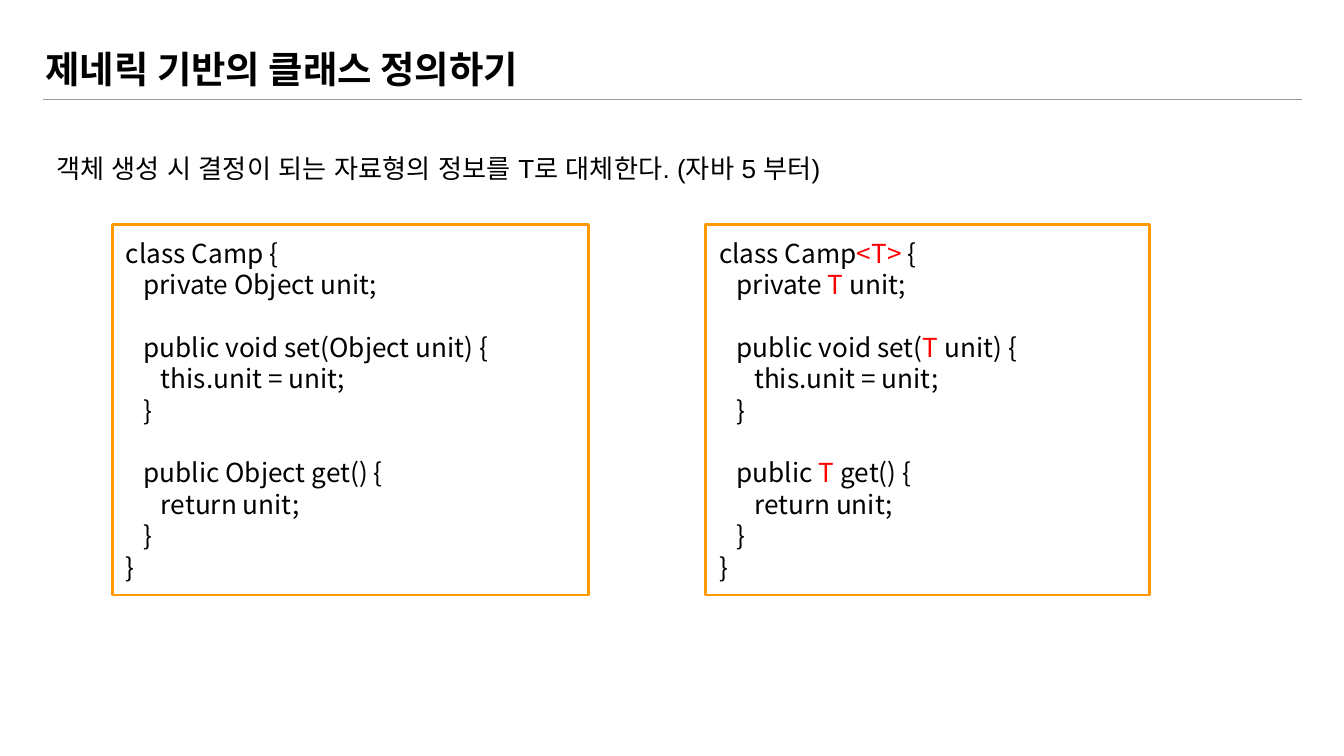
from lxml.etree import SubElement
from pptx import Presentation
from pptx.dml.color import RGBColor
from pptx.enum.shapes import MSO_CONNECTOR, MSO_SHAPE
from pptx.enum.text import MSO_ANCHOR, PP_ALIGN
from pptx.oxml.ns import qn
from pptx.util import Cm, Pt

KOREAN, LATIN = "Noto Sans CJK KR", "Arial"
BLACK, RED, ORANGE, GREY = "000000", "FF0000", "FF9900", "999999"

TITLE = "제네릭 기반의 클래스 정의하기"
LEAD = "객체 생성 시 결정이 되는 자료형의 정보를 T로 대체한다. (자바 5 부터)"
# Text between bars is highlighted
CODE = """class Camp{param} {{
   private {kind} unit;

   public void set({kind} unit) {{
      this.unit = unit;
   }}

   public {kind} get() {{
      return unit;
   }}
}}"""
BOXES = [  # left, width, code
    (2.13, 8.99, CODE.format(param="", kind="Object")),
    (13.34, 8.38, CODE.format(param="|<T>|", kind="|T|")),
]
BOX_TOP, BOX_HEIGHT = 4.24, 7.01


def rgb(color):
    return RGBColor.from_string(color)


def add_run(p, text, font, size, color=BLACK, bold=False):
    r = p.add_run()
    r.text = text
    r.font.color.rgb = rgb(color)
    for name, value in dict(name=font, size=Pt(size), bold=bold).items():
        setattr(r.font, name, value)
    SubElement(r.font._element, qn("a:ea"), typeface=font)


def prepare(shape, anchor):
    """Set margins, wrapping and anchor; return the left-aligned first paragraph."""
    tf = shape.text_frame
    margins = {f"margin_{side}": Cm(0.25) for side in ("left", "right", "top", "bottom")}
    for name, value in dict(margins, word_wrap=True, vertical_anchor=anchor).items():
        setattr(tf, name, value)
    p = tf.paragraphs[0]
    p.alignment = PP_ALIGN.LEFT
    return p


def add_code(p, code):
    for i, part in enumerate(code.split("|")):
        for j, line in enumerate(part.split("\n")):
            if j:
                p.add_line_break()
            if line:
                add_run(p, line, KOREAN, 14, RED if i % 2 else BLACK)
    for br in p._p.findall(qn("a:br")):
        SubElement(br, qn("a:rPr"), sz="1400")
        SubElement(br[0], qn("a:latin"), typeface=KOREAN)
        SubElement(br[0], qn("a:ea"), typeface=KOREAN)


prs = Presentation()
prs.slide_width, prs.slide_height = Cm(25.4), Cm(14.29)
s = prs.slides.add_slide(prs.slide_layouts[5])

title = s.shapes.title
title.left, title.top, title.width, title.height = Cm(0.61), Cm(0.61), Cm(20.88), Cm(1.37)
add_run(prepare(title, MSO_ANCHOR.MIDDLE), TITLE, KOREAN, 20, bold=True)

rule = s.shapes.add_connector(MSO_CONNECTOR.STRAIGHT, Cm(0.81), Cm(1.88), Cm(24.61), Cm(1.88))
rule.line.color.rgb = rgb(GREY)
rule.line.width = Pt(0.75)
SubElement(rule._element.spPr, qn("a:effectLst"))

lead = s.shapes.add_textbox(Cm(0.81), Cm(2.54), Cm(23.37), Cm(1.55))
p = prepare(lead, MSO_ANCHOR.TOP)
p.line_spacing = 1.15
add_run(p, LEAD, LATIN, 14)

for left, width, code in BOXES:
    box = s.shapes.add_shape(MSO_SHAPE.RECTANGLE, Cm(left), Cm(BOX_TOP), Cm(width), Cm(BOX_HEIGHT))
    box.shadow.inherit = False
    box.fill.background()
    box.line.color.rgb = rgb(ORANGE)
    box.line.width = Pt(1.5)
    add_code(prepare(box, MSO_ANCHOR.MIDDLE), code)

prs.save("out.pptx")
